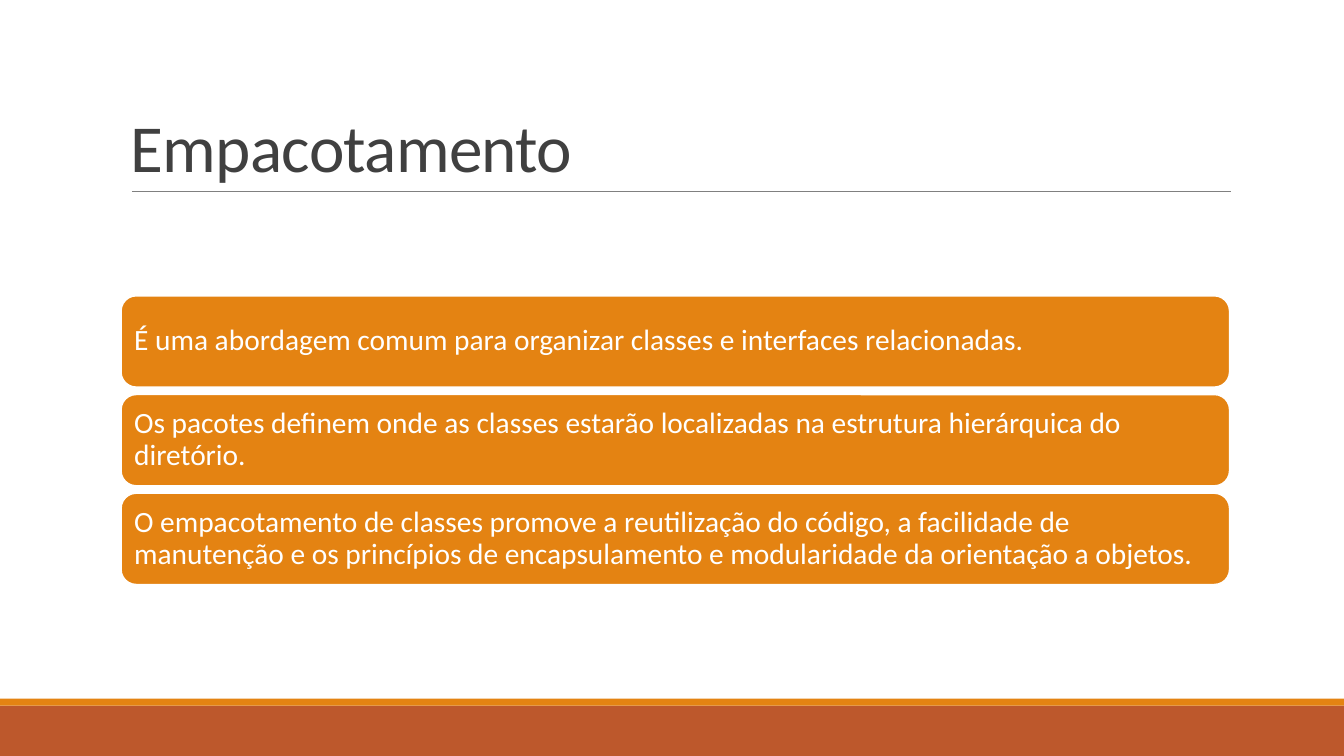
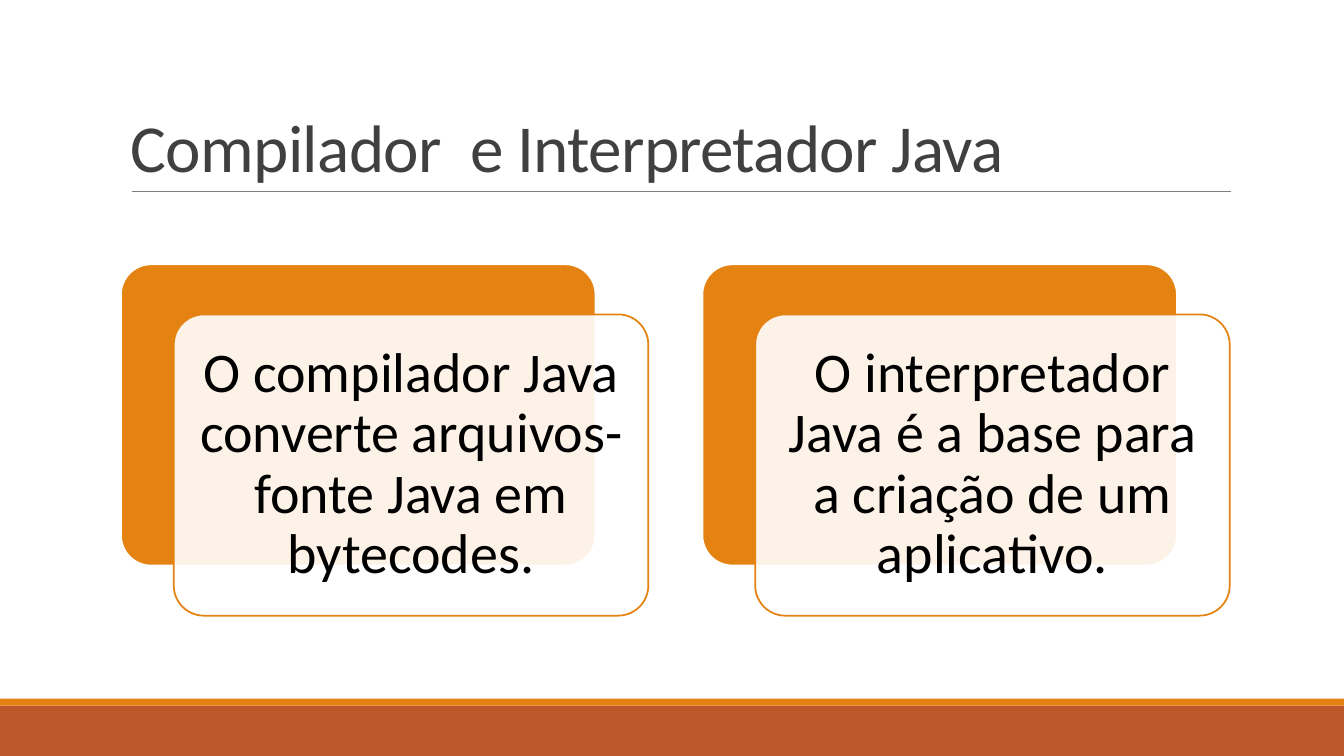
from lxml import etree
from pptx import Presentation
from pptx.dml.color import RGBColor
from pptx.enum.shapes import MSO_CONNECTOR, MSO_SHAPE
from pptx.enum.text import MSO_ANCHOR, PP_ALIGN
from pptx.oxml.ns import qn
from pptx.util import Pt

RECT, ROUNDED = MSO_SHAPE.RECTANGLE, MSO_SHAPE.ROUNDED_RECTANGLE
STRAIGHT = MSO_CONNECTOR.STRAIGHT
MIDDLE, BOTTOM = MSO_ANCHOR.MIDDLE, MSO_ANCHOR.BOTTOM
LEFT, CENTER = PP_ALIGN.LEFT, PP_ALIGN.CENTER

FONT = "Calibri"
ORANGE = RGBColor(0xE4, 0x83, 0x12)
RUST = RGBColor(0xBD, 0x58, 0x2C)
GRAY = RGBColor(0x80, 0x80, 0x80)
DARK = RGBColor(0x40, 0x40, 0x40)
WHITE = RGBColor(0xFF, 0xFF, 0xFF)
BLACK = RGBColor(0x00, 0x00, 0x00)

# Page and content area
PAGE_W, PAGE_H = 960, 540
CONTENT_X, CONTENT_W = 86.4, 792
BAND_H, STRIPE_H = 36, 5

# Stacked bars
BAR_TOP, BAR_H, BAR_PITCH = 211.2, 65.4, 70.5

# Overlapping cards
CARD_TOP, CARD_W, CARD_H = 188.8, 339, 215.2
CARD_DX, CARD_DY = 37.7, 35.8

BARS = [
    "É uma abordagem comum para organizar classes e interfaces relacionadas.",
    "Os pacotes definem onde as classes estarão localizadas na estrutura "
    "hierárquica do diretório.",
    "O empacotamento de classes promove a reutilização do código, a facilidade "
    "de manutenção e os princípios de encapsulamento e modularidade da "
    "orientação a objetos.",
]
CARDS = [
    "O compilador Java converte arquivos-fonte Java em bytecodes.",
    "O interpretador Java é a base para a criação de um aplicativo.",
]


def add_block(slide, preset, box, fill, outline=None):
    """Filled shape; box is left, top, width, height in points."""
    block = slide.shapes.add_shape(preset, *map(Pt, box))
    block.shadow.inherit = False
    block.fill.solid()
    block.fill.fore_color.rgb = fill
    if outline is None:
        block.line.fill.background()
    else:
        block.line.color.rgb = outline
        block.line.width = Pt(1.25)
    return block


def write(shape, text, size, color, anchor, align, line_spacing, inset_x, inset_y):
    """Fill a shape with one paragraph and return its run."""
    frame = shape.text_frame
    frame.word_wrap = True
    frame.vertical_anchor = anchor
    frame.margin_left = frame.margin_right = Pt(inset_x)
    frame.margin_top = frame.margin_bottom = Pt(inset_y)
    frame.text = text
    paragraph = frame.paragraphs[0]
    paragraph.alignment = align
    paragraph.line_spacing = line_spacing
    run = paragraph.runs[0]
    run.font.name = FONT
    run.font.size = Pt(size)
    run.font.color.rgb = color
    return run


def add_rule(slide, x1, x2, y):
    rule = slide.shapes.add_connector(STRAIGHT, Pt(x1), Pt(y), Pt(x2), Pt(y))
    rule.line.color.rgb = GRAY
    rule.line.width = Pt(0.5)
    etree.SubElement(rule._element.spPr, qn("a:effectLst"))


def add_page(deck, title):
    """New slide with the shared footer bands, rule and title."""
    slide = deck.slides.add_slide(deck.slide_layouts[6])
    band_top = PAGE_H - BAND_H
    add_block(slide, RECT, (0, band_top, PAGE_W, BAND_H), RUST)
    add_block(slide, RECT, (0, band_top - STRIPE_H, PAGE_W, STRIPE_H), ORANGE)
    add_rule(slide, 94.3, 879, 136.8)
    heading = slide.shapes.add_textbox(
        Pt(CONTENT_X), Pt(22.5), Pt(CONTENT_W), Pt(114.3))
    run = write(heading, title, 48, DARK, BOTTOM, LEFT, 0.85, 7.2, 3.6)
    run._r.get_or_add_rPr().set("spc", "-50")
    return slide


def add_bar(slide, top, text):
    bar = add_block(slide, ROUNDED, (CONTENT_X, top, CONTENT_W, BAR_H),
                    ORANGE, WHITE)
    write(bar, text, 21, WHITE, MIDDLE, LEFT, 0.9, 6.3, 6.3)


def add_card(slide, left, text):
    """Orange back plate with a translucent text plate shifted over it."""
    back = add_block(slide, ROUNDED, (left, CARD_TOP, CARD_W, CARD_H),
                     ORANGE, WHITE)
    front = add_block(
        slide, ROUNDED,
        (left + CARD_DX, CARD_TOP + CARD_DY, CARD_W, CARD_H), WHITE, ORANGE)
    for plate in (back, front):
        plate.adjustments[0] = 0.1
    fill_color = front._element.spPr.find(qn("a:solidFill"))[0]
    etree.SubElement(fill_color, qn("a:alpha"), val="90000")
    write(front, text, 40, BLACK, MIDDLE, CENTER, 0.9, 12, 12)


def main():
    deck = Presentation()
    deck.slide_width, deck.slide_height = Pt(PAGE_W), Pt(PAGE_H)

    # Packaging
    packaging = add_page(deck, "Empacotamento")
    for row, text in enumerate(BARS):
        add_bar(packaging, BAR_TOP + row * BAR_PITCH, text)

    # Compiler and interpreter: the last card ends at the content's right edge
    tools = add_page(deck, "Compilador  e Interpretador Java")
    card_pitch = (CONTENT_W - CARD_W - CARD_DX) / (len(CARDS) - 1)
    for column, text in enumerate(CARDS):
        add_card(tools, CONTENT_X + column * card_pitch, text)

    deck.save("out.pptx")


if __name__ == "__main__":
    main()
